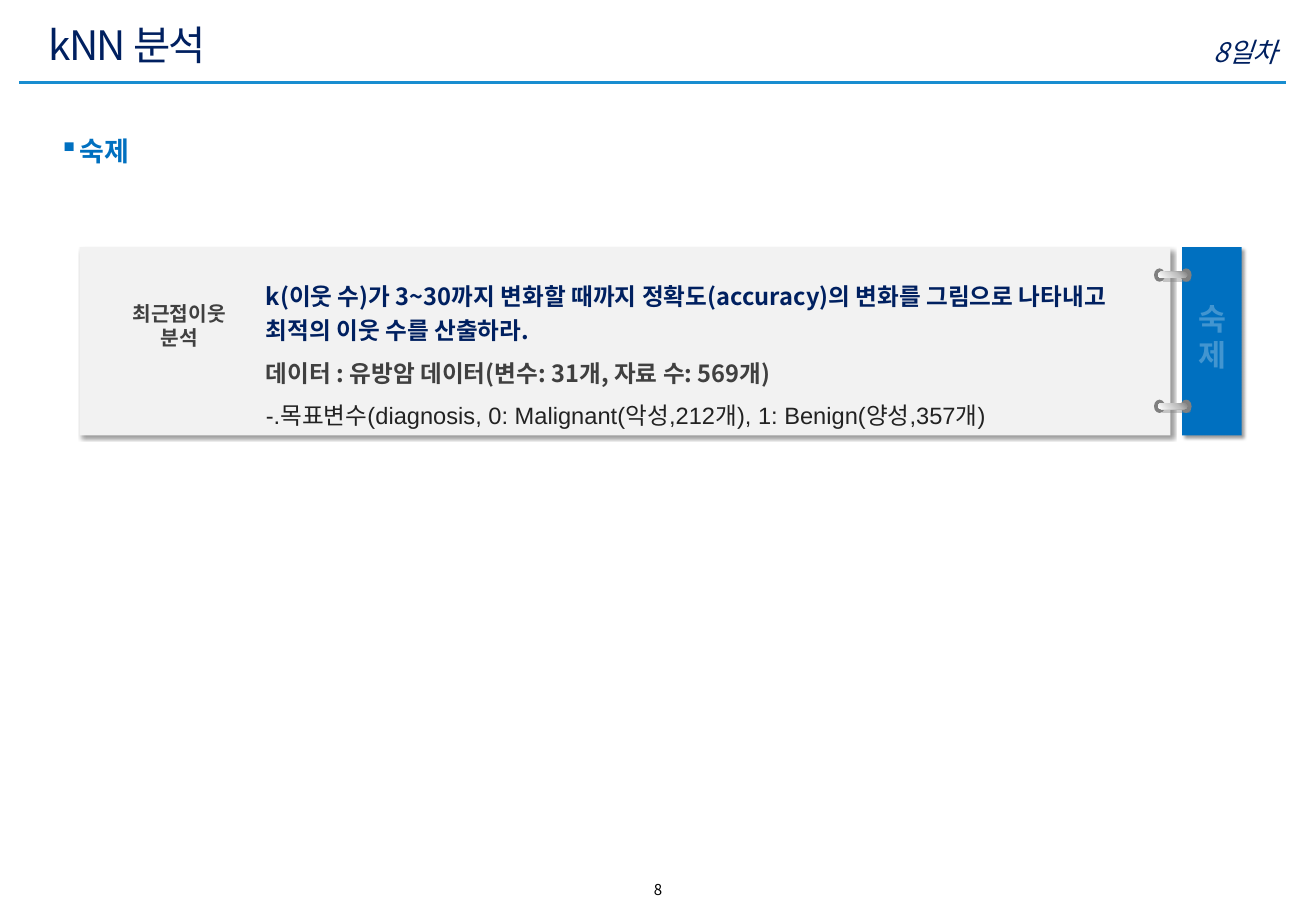
from copy import deepcopy

from pptx import Presentation
from pptx.dml.color import RGBColor
from pptx.enum.shapes import MSO_CONNECTOR as Connector, MSO_SHAPE as Shape
from pptx.enum.text import MSO_ANCHOR as Anchor, PP_ALIGN as Align
from pptx.oxml.ns import qn
from pptx.oxml.xmlchemy import OxmlElement
from pptx.util import Pt

FONT = "Noto Sans CJK KR"
COLORS = {
    "navy": "002060",
    "blue": "0070C0",
    "rule": "188DD0",
    "panel": "F2F2F2",
    "dark": "404040",
    "ink": "222222",
    "ring": "808080",
    "silver": "BFBFBF",
    "white": "FFFFFF",
    "black": "000000",
}


def color(name):
    return RGBColor.from_string(COLORS[name])


def add_element(parent, tag, **attributes):
    element = OxmlElement(tag)
    for key, value in attributes.items():
        element.set(key, str(value))
    parent.append(element)
    return element


def place(shape, left, top, width, height):
    shape.left, shape.top = Pt(left), Pt(top)
    shape.width, shape.height = Pt(width), Pt(height)


def style(paragraph, size, ink, bold=False, italic=False, name=FONT, align=Align.LEFT):
    paragraph.alignment = align
    font = paragraph.font
    font.size, font.bold, font.italic, font.name = Pt(size), bold, italic, name
    font.color.rgb = color(ink)
    properties = paragraph._p.pPr.find(qn("a:defRPr"))
    add_element(properties, "a:ea", typeface=FONT)
    return properties


def add_text(slide, box, lines, wrap=True):
    shape = slide.shapes.add_textbox(*map(Pt, box))
    frame = shape.text_frame
    frame.word_wrap = wrap
    frame.text = "\n".join(lines)
    return frame.paragraphs


def add_plate(slide, kind, box, fill):
    shape = slide.shapes.add_shape(kind, *map(Pt, box))
    shape.fill.solid()
    shape.fill.fore_color.rgb = color(fill)
    shape.line.fill.background()
    shape.shadow.inherit = False
    return shape


def add_shadow(shape, ink, blur, distance):
    effects = shape._element.spPr.find(qn("a:effectLst"))
    shadow = add_element(effects, "a:outerShdw", blurRad=Pt(blur), dist=Pt(distance),
                         dir=2700000, algn="tl", rotWithShape=0)
    shade = add_element(shadow, "a:srgbClr", val=COLORS[ink])
    add_element(shade, "a:alpha", val=40000)


def add_header(slide, left, top, width):
    rule = slide.shapes.add_connector(
        Connector.STRAIGHT, Pt(left), Pt(top + 49), Pt(left + width), Pt(top + 49))
    rule.line.color.rgb = color("rule")
    rule.line.width = Pt(2)
    add_element(rule._element.spPr, "a:effectLst")

    title = slide.shapes.title
    place(title, left + 10, top + 8, 613, 36)
    title.text_frame.text = "kNN 분석"
    title.text_frame.vertical_anchor = Anchor.MIDDLE
    style(title.text_frame.paragraphs[0], 24, "navy").set("spc", "-100")

    day = add_text(slide, (left + 460, top + 17.3, 293, 22), ["8일차"])
    style(day[0], 16, "navy", italic=True, align=Align.RIGHT)


def add_heading(slide, left, top, width):
    paragraph = add_text(slide, (left, top, width, 35), ["숙제"])[0]
    paragraph.line_spacing = 1.1
    properties = paragraph._p.get_or_add_pPr()
    properties.set("marL", str(Pt(11.5)))
    properties.set("indent", str(-Pt(11.5)))
    bullet_color = add_element(properties, "a:buClr")
    add_element(bullet_color, "a:srgbClr", val=COLORS["blue"])
    add_element(properties, "a:buChar", char="▪")
    style(paragraph, 16, "blue", bold=True, align=Align.JUSTIFY)


def add_ring(slide, left, top):
    for hole_left in (left, left + 15.8):
        add_plate(slide, Shape.OVAL, (hole_left, top, 6.5, 7.9), "ring")
    bar = add_plate(slide, Shape.ROUNDED_RECTANGLE, (left + 2.5, top + 2, 17.3, 3.6), "silver")
    bar.adjustments[0] = 0.5
    bar.fill.gradient()
    bar.fill.gradient_angle = 225
    first_stop = bar._element.spPr.find(".//" + qn("a:gs"))
    first_stop.addnext(deepcopy(first_stop))
    for stop, position, ink in zip(bar.fill.gradient_stops, (0, 0.35, 1),
                                   ("ring", "silver", "white")):
        stop.position = position
        stop.color.rgb = color(ink)
    add_shadow(bar, "ring", 0, 3)


def add_homework_card(slide, left, top, height):
    for box, fill in (((left, top, 646.5, height), "panel"),
                      ((left + 653.4, top, 35.3, height), "blue")):
        add_shadow(add_plate(slide, Shape.RECTANGLE, box, fill), "black", 2, 2)
    for ring_top in (12.6, 90.4):
        add_ring(slide, left + 636.8, top + ring_top)

    for paragraph in add_text(slide, (left + 655.5, top + 27.7, 31.7, 60.5), ["숙", "제"], False):
        properties = style(paragraph, 18, "white", bold=True, align=Align.CENTER)
        add_element(properties.find(".//" + qn("a:srgbClr")), "a:alpha", val=26000)

    topic_box = (left + 23.4, top + 28.5, 71.3, 43.2)
    for paragraph in add_text(slide, topic_box, ["최근접이웃", "분석"], False):
        style(paragraph, 12, "dark", bold=True, align=Align.CENTER)

    task, data, target = add_text(slide, (left + 103.3, top + 14, 527.8, 116), [
        "k(이웃 수)가 3~30까지 변화할 때까지 정확도(accuracy)의 변화를 그림으로 "
        "나타내고 최적의 이웃 수를 산출하라.",
        "데이터 : 유방암 데이터(변수: 31개, 자료 수: 569개)",
        "-.목표변수(diagnosis, 0: Malignant(악성,212개), 1: Benign(양성,357개)",
    ])
    for paragraph in (task, data, target):
        paragraph.line_spacing = 1.2
    for paragraph in (data, target):
        paragraph.space_before = Pt(5)
    style(task, 14, "navy", bold=True)
    style(data, 14, "dark", bold=True)
    style(target, 14, "ink", name="Arial")


def add_page_number(slide, left, top, width):
    number = add_text(slide, (left, top, width, 18), ["8"])
    style(number[0], 8.9, "black", align=Align.CENTER)


def main():
    presentation = Presentation()
    presentation.slide_width, presentation.slide_height = Pt(780), Pt(540)
    slide = presentation.slides.add_slide(presentation.slide_layouts[5])
    add_header(slide, 11.5, 0, 751)
    add_heading(slide, 28, 74, 707)
    add_homework_card(slide, 47.2, 146.5, 111.6)
    add_page_number(slide, 316, 518.4, 148)
    presentation.save("out.pptx")


if __name__ == "__main__":
    main()
